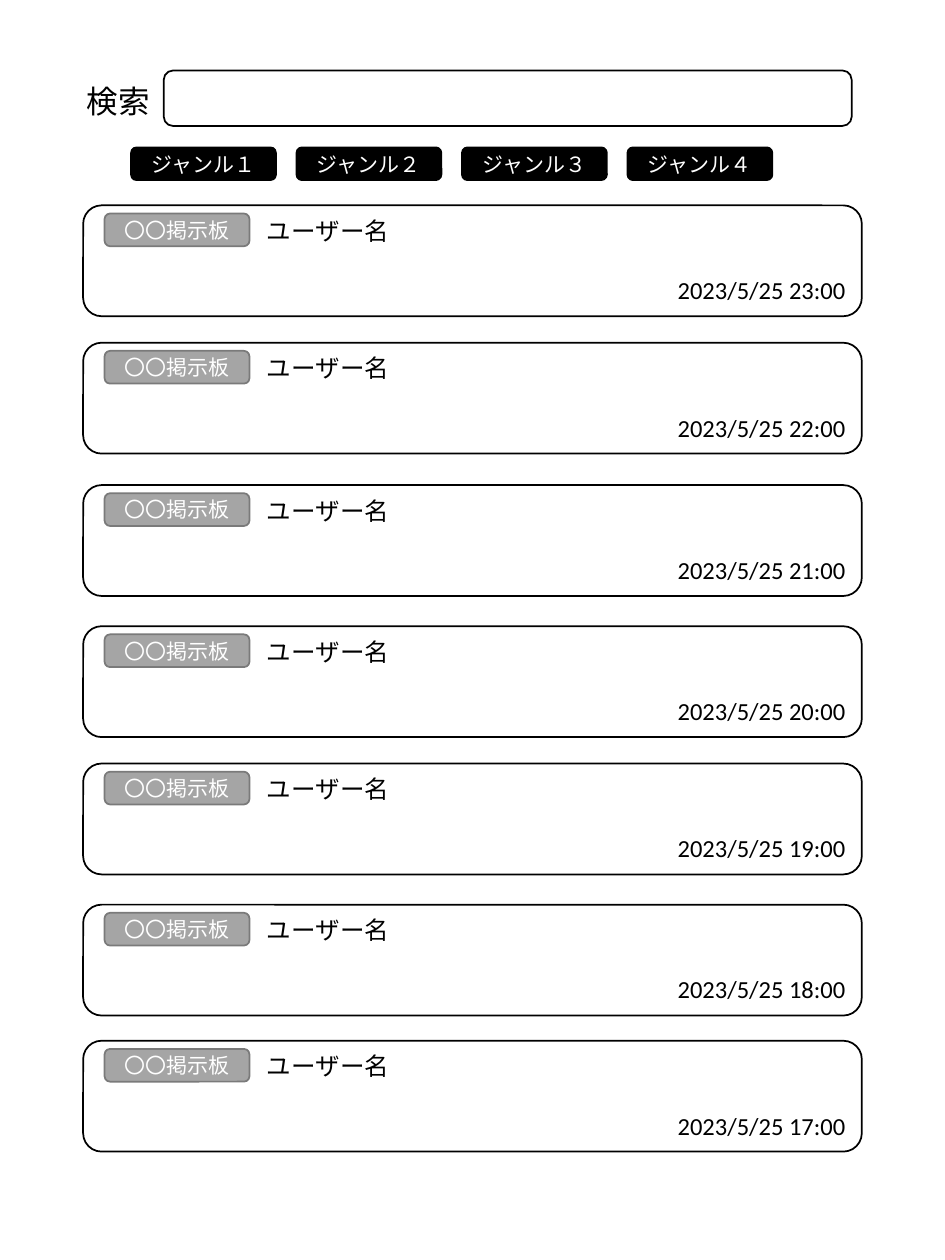
import pptx
import pptx.util
import pptx.dml.color
import pptx.enum.shapes
import pptx.enum.text

COLORS = {"ink": "000000", "paper": "FFFFFF", "tag": "A5A5A5", "tag_line": "7A7A7A"}
FONT = "Calibri"
WIDTH, HEIGHT = pptx.util.Inches(7.5), pptx.util.Inches(10)
COLS, ROWS = 75, 100
CARD_ROWS = [16.3, 27.2, 38.5, 49.7, 60.6, 71.8, 82.6]
LAST_HOUR = 23


def rgb(name):
    return pptx.dml.color.RGBColor.from_string(COLORS[name])


def to_emu(box):
    x, y, w, h = box
    return [round(v) for v in (x * WIDTH / COLS, y * HEIGHT / ROWS,
                               w * WIDTH / COLS, h * HEIGHT / ROWS)]


def within(box, x, y, w, h):
    return box[0] + x, box[1] + y, w, h


def write(tf, text, size, color):
    p = tf.paragraphs[0]
    p.text = text
    p.font.name = FONT
    p.font.size = pptx.util.Pt(size)
    p.font.color.rgb = rgb(color)
    return p


def add_panel(slide, box, fill="paper", line="ink"):
    sp = slide.shapes.add_shape(
        pptx.enum.shapes.MSO_SHAPE.ROUNDED_RECTANGLE, *to_emu(box))
    sp.shadow.inherit = False
    sp.fill.solid()
    sp.fill.fore_color.rgb = rgb(fill)
    sp.line.color.rgb = rgb(line)
    sp.line.width = pptx.util.Pt(1)
    return sp


def add_button(slide, box, text, fill, line):
    tf = add_panel(slide, box, fill, line).text_frame
    tf.vertical_anchor = pptx.enum.text.MSO_ANCHOR.MIDDLE
    p = write(tf, text, 12, "paper")
    p.alignment = pptx.enum.text.PP_ALIGN.CENTER


def add_label(slide, box, text, size):
    tf = slide.shapes.add_textbox(*to_emu(box)).text_frame
    tf.word_wrap = True
    tf.auto_size = pptx.enum.text.MSO_AUTO_SIZE.SHAPE_TO_FIT_TEXT
    write(tf, text, size, "ink")


def add_search_bar(slide, box):
    add_panel(slide, within(box, 7.1, 0, 54.6, 4.4))
    add_label(slide, within(box, 0, 0.4, 9, 4), "検索", 18)


def add_genres(slide, box, names):
    x, y, w, h = box
    button_w = 11.5
    pitch = (w - button_w) / (len(names) - 1)
    for i, name in enumerate(names):
        add_button(slide, (x + i * pitch, y, button_w, h), name, "ink", "ink")


def add_post_card(slide, box, board, user, posted):
    add_panel(slide, box)
    add_button(slide, within(box, 1.7, 0.65, 11.5, 2.6), board, "tag", "tag_line")
    add_label(slide, within(box, 13.6, 0.35, 12.6, 3.4), user, 14)
    add_label(slide, within(box, 46.2, 5.05, 17.6, 3.4), posted, 14)


def main():
    prs = pptx.Presentation()
    prs.slide_width, prs.slide_height = WIDTH, HEIGHT
    slide = prs.slides.add_slide(prs.slide_layouts[6])
    add_search_bar(slide, (5.9, 5.6, 61.7, 4.4))
    add_genres(slide, (10.4, 11.7, 50.9, 2.6), [f"ジャンル{n}" for n in "１２３４"])
    for i, row in enumerate(CARD_ROWS):
        add_post_card(slide, (6.6, row, 61.8, 8.8), "〇〇掲示板", "ユーザー名",
                      f"2023/5/25 {LAST_HOUR - i}:00")
    prs.save("out.pptx")


if __name__ == "__main__":
    main()
